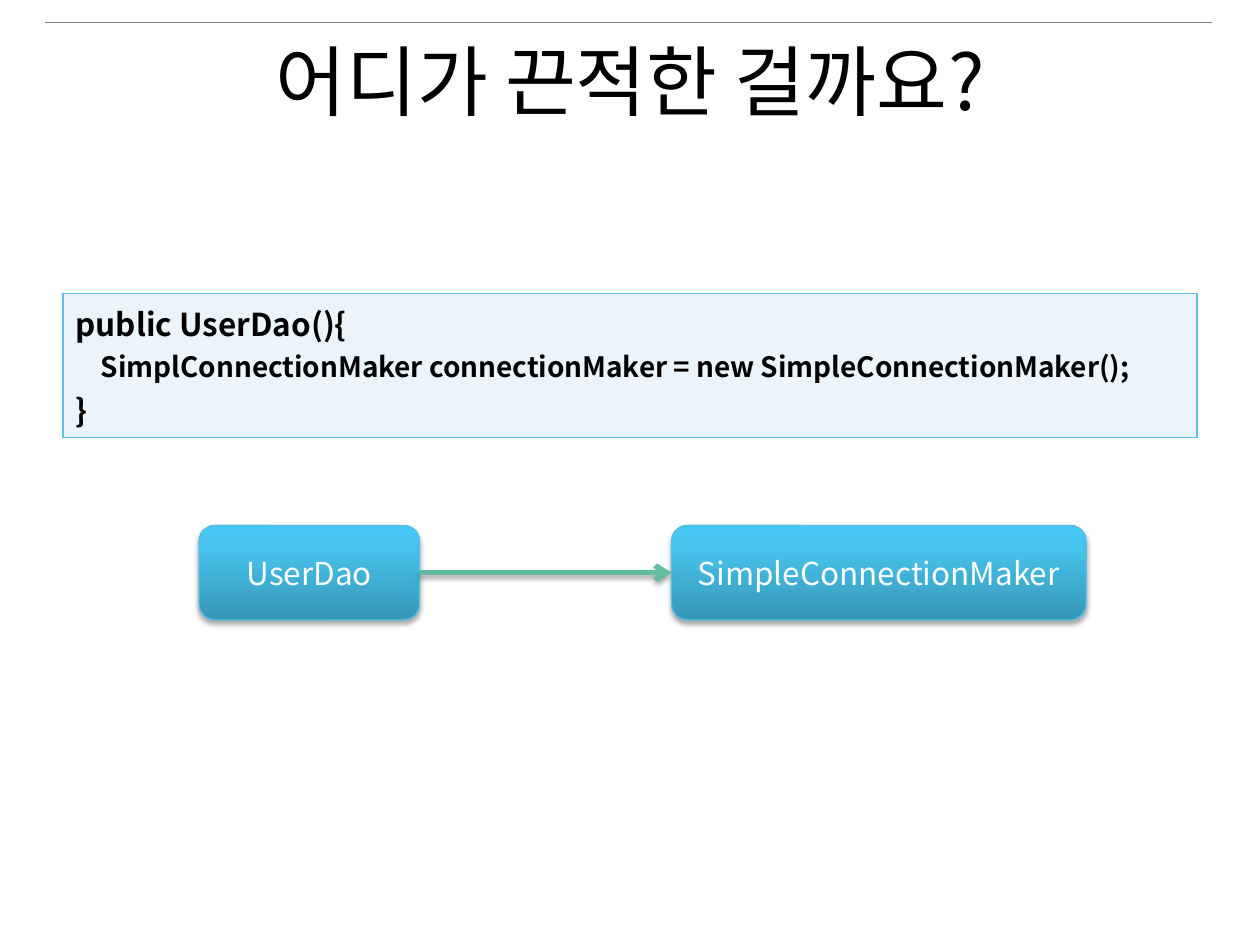
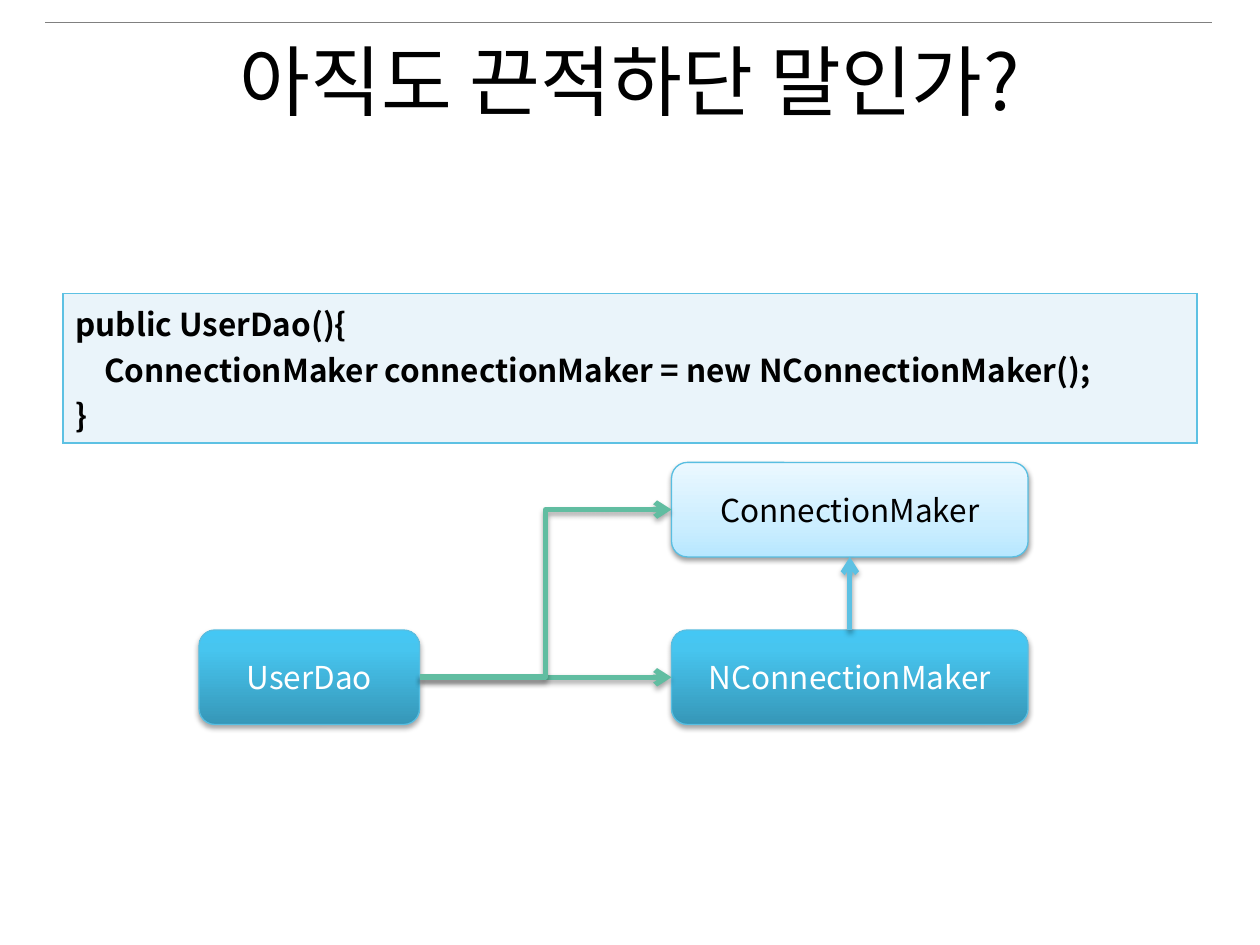
from lxml.etree import SubElement
from pptx import Presentation
from pptx.dml.color import RGBColor
from pptx.enum.shapes import MSO_CONNECTOR as CONN, MSO_SHAPE as SHAPE
from pptx.enum.text import MSO_ANCHOR as ANCHOR, MSO_AUTO_SIZE as AUTO, PP_ALIGN as ALIGN
from pptx.oxml import parse_xml
from pptx.oxml.ns import nsdecls, qn
from pptx.util import Inches, Pt

FONT = "Noto Sans CJK KR"
BLACK = RGBColor(0x00, 0x00, 0x00)
WHITE = RGBColor(0xFF, 0xFF, 0xFF)
GRAY = RGBColor(0x80, 0x80, 0x80)
GREEN = RGBColor(0x61, 0xBD, 0xA1)
BLUE = RGBColor(0x5D, 0xC1, 0xE3)
EDGE = RGBColor(0x58, 0xBE, 0xE1)
PALE = RGBColor(0xEA, 0xF4, 0xFA)
DEEP_STOPS = [(0, RGBColor(0x36, 0x97, 0xB8)), (80, RGBColor(0x47, 0xC5, 0xEF)),
              (100, RGBColor(0x44, 0xC7, 0xF4))]
LIGHT_STOPS = [(0, RGBColor(0xB7, 0xE7, 0xFF)), (35, RGBColor(0xCC, 0xEE, 0xFF)),
               (100, RGBColor(0xEB, 0xF8, 0xFF))]
CLASS = dict(stops=DEEP_STOPS, color=WHITE, alpha=35, dist=1.8)
INTERFACE = dict(stops=LIGHT_STOPS, color=BLACK, alpha=38, dist=1.6)
TOP, LEFT, BOTTOM, RIGHT = range(4)


class Deck:
    def __init__(self):
        self.prs = Presentation()
        self.prs.slide_width, self.prs.slide_height = Inches(10), Inches(7.5)
        self.s = None

    def text(self, p, text, **fmt):
        r = p.add_run()
        r.text = text
        color = fmt.pop("color", BLACK)
        for key, value in {"name": FONT, **fmt}.items():
            setattr(r.font, key, value)
        r.font.color.rgb = color
        SubElement(r.font._element, qn("a:ea"), typeface=FONT)

    def shadow(self, sp, alpha=35, dist=1.8):
        effects = sp._element.spPr.find(qn("a:effectLst"))
        if effects is None:
            effects = SubElement(sp._element.spPr, qn("a:effectLst"))
        effects.append(parse_xml(
            f'<a:outerShdw {nsdecls("a")} blurRad="{Pt(3.1)}" dist="{Pt(dist)}" dir="5400000" '
            f'rotWithShape="0"><a:srgbClr val="000000"><a:alpha val="{alpha * 1000}"/>'
            '</a:srgbClr></a:outerShdw>'))

    def slide(self, title):
        self.s = self.prs.slides.add_slide(self.prs.slide_layouts[5])
        rule = self.s.shapes.add_connector(
            CONN.STRAIGHT, Inches(0.36), Inches(0.18), Inches(9.62), Inches(0.18))
        rule.line.color.rgb, rule.line.width = GRAY, Pt(0.25)
        SubElement(rule._element.spPr, qn("a:effectLst"))
        sp = self.s.shapes.title
        place = dict(left=0.5, top=0.3, width=9, height=1.25)
        for key, value in place.items():
            setattr(sp, key, Inches(value))
        tf = sp.text_frame
        tf.auto_size, tf.word_wrap, tf.vertical_anchor = AUTO.NONE, True, ANCHOR.TOP
        p = tf.paragraphs[0]
        p.alignment, p.line_spacing = ALIGN.CENTER, 0.9
        self.text(p, title, size=Pt(44))

    def code(self, lines, height):
        table = self.s.shapes.add_table(
            1, 1, Inches(0.5), Inches(2.33), Inches(9), Inches(height)).table
        table.first_row = table.horz_banding = False
        cell = table.cell(0, 0)
        cell.fill.solid()
        cell.fill.fore_color.rgb = PALE
        for i, side in enumerate("LRTB"):
            cell._tc.tcPr.insert(i, parse_xml(
                f'<a:ln{side} {nsdecls("a")} w="{Pt(1)}"><a:solidFill>'
                f'<a:srgbClr val="{BLUE}"/></a:solidFill></a:ln{side}>'))
        tf = cell.text_frame
        for i, (text, size) in enumerate(lines):
            p = tf.add_paragraph() if i else tf.paragraphs[0]
            self.text(p, text, size=Pt(size), bold=True)

    def box(self, text, left, top, width, look=CLASS):
        sp = self.s.shapes.add_shape(
            SHAPE.ROUNDED_RECTANGLE, Inches(left), Inches(top), Inches(width), Inches(0.75))
        stops = "".join(f'<a:gs pos="{pos * 1000}"><a:srgbClr val="{rgb}"/></a:gs>'
                        for pos, rgb in look["stops"])
        sp._element.spPr.find(qn("a:prstGeom")).addnext(parse_xml(
            f'<a:gradFill {nsdecls("a")} rotWithShape="1"><a:gsLst>{stops}</a:gsLst>'
            '<a:lin ang="16200000" scaled="0"/></a:gradFill>'))
        sp.line.color.rgb, sp.line.width = EDGE, Pt(0.75)
        sp.shadow.inherit = False
        self.shadow(sp, look["alpha"], look["dist"])
        tf = sp.text_frame
        tf.word_wrap, tf.vertical_anchor = True, ANCHOR.MIDDLE
        p = tf.paragraphs[0]
        p.alignment = ALIGN.CENTER
        self.text(p, text, size=Pt(18), color=look["color"])
        return sp

    def arrow(self, start, end, sides=(RIGHT, LEFT), kind=CONN.ELBOW, color=GREEN):
        c = self.s.shapes.add_connector(kind, 0, 0, 0, 0)
        c.begin_connect(start, sides[0])
        c.end_connect(end, sides[1])
        c.line.color.rgb, c.line.width = color, Pt(3)
        SubElement(c.line._get_or_add_ln(), qn("a:tailEnd"), type="arrow")
        self.shadow(c)


def main():
    deck = Deck()

    deck.slide("어디가 끈적한 걸까요?")
    deck.code([("public UserDao(){", 18),
               ("    SimplConnectionMaker connectionMaker = new SimpleConnectionMaker();", 16),
               ("}", 18)], 0.97)
    dao = deck.box("UserDao", 1.58, 4.17, 1.75)
    maker = deck.box("SimpleConnectionMaker", 5.33, 4.17, 3.29)
    deck.arrow(dao, maker)

    deck.slide("아직도 끈적하단 말인가?")
    deck.code([("public UserDao(){", 18),
               ("    ConnectionMaker connectionMaker = new NConnectionMaker();", 18),
               ("}", 18)], 1)
    dao = deck.box("UserDao", 1.58, 5, 1.75)
    maker = deck.box("NConnectionMaker", 5.33, 5, 2.83)
    deck.arrow(dao, maker)
    interface = deck.box("ConnectionMaker", 5.33, 3.67, 2.83, INTERFACE)
    deck.arrow(maker, interface, (TOP, BOTTOM), CONN.STRAIGHT, BLUE)
    deck.arrow(dao, interface)

    deck.prs.save("out.pptx")


if __name__ == "__main__":
    main()
